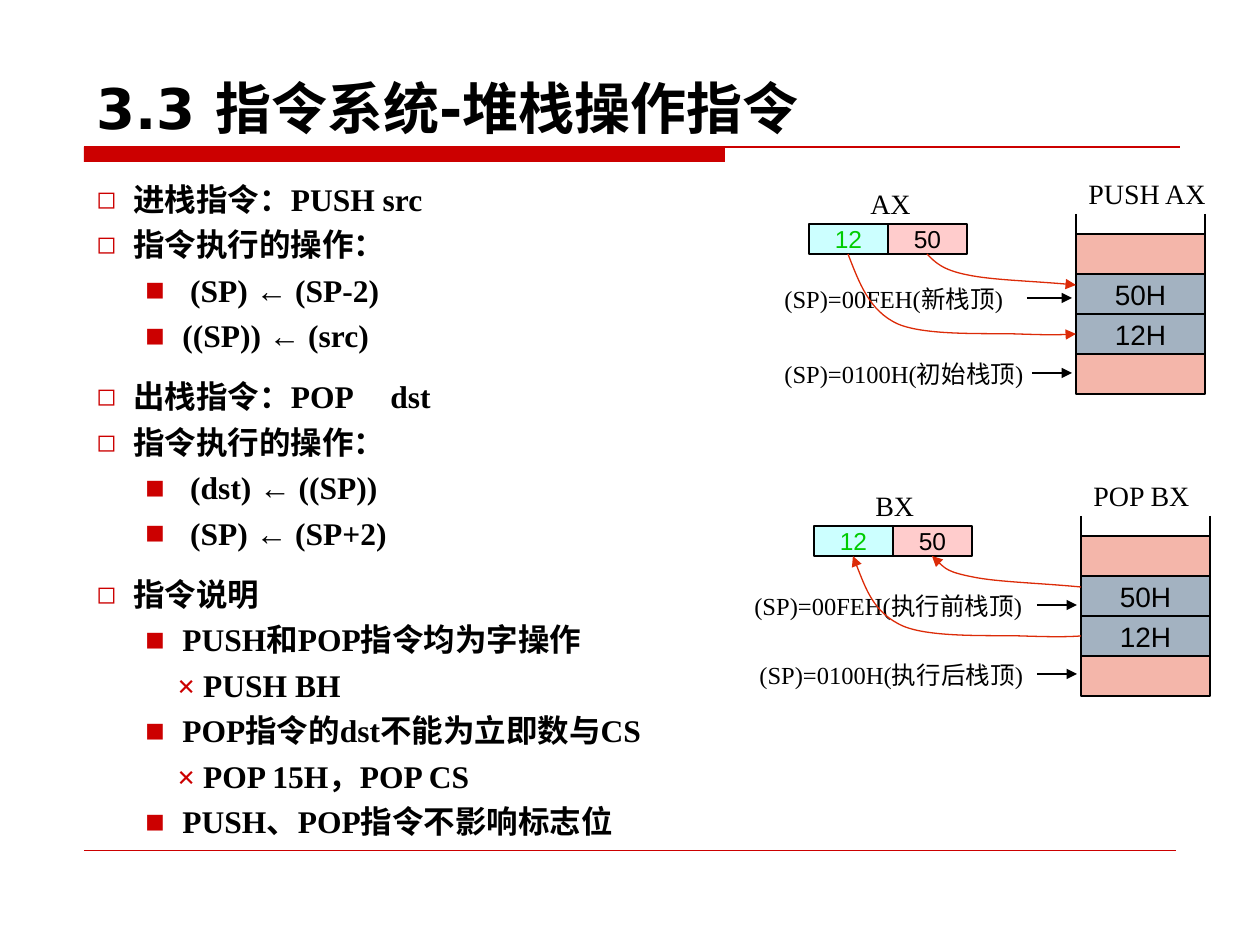
from dataclasses import dataclass

from lxml.etree import SubElement
from pptx import Presentation
from pptx.dml.color import RGBColor
from pptx.enum.shapes import MSO_CONNECTOR, MSO_SHAPE
from pptx.enum.text import MSO_ANCHOR, PP_ALIGN
from pptx.oxml.ns import qn
from pptx.util import Emu, Pt


@dataclass(frozen=True)
class Theme:
    """Colours, fonts and type sizes of the slide."""
    red: str = "CC0000"
    curve: str = "DC2B08"
    ink: str = "000000"
    green: str = "00CC00"
    salmon: str = "F4B6AA"
    slate: str = "A3B2C1"
    cyan: str = "CCFFFF"
    pink: str = "FFCCCC"
    serif: str = "Times New Roman"
    sans: str = "Arial"
    heading: str = "DejaVu Sans"
    title_size: int = 32
    body_size: int = 18
    label_size: int = 16
    note_size: int = 14


THEME = Theme()
BODY = [
    ("topic", "进栈指令：PUSH src"),
    ("topic", "指令执行的操作："),
    ("point", " (SP) ← (SP-2)"),
    ("point", "((SP)) ← (src)"),
    ("topic", "出栈指令：POP\tdst"),
    ("topic", "指令执行的操作："),
    ("point", " (dst) ← ((SP))"),
    ("point", " (SP) ← (SP+2)"),
    ("topic", "指令说明"),
    ("point", "PUSH和POP指令均为字操作"),
    ("wrong", "PUSH BH"),
    ("point", "POP指令的dst不能为立即数与CS"),
    ("wrong", "POP 15H，POP CS"),
    ("point", "PUSH、POP指令不影响标志位"),
]
INDENTS = {"topic": (37, -37, "◻", 78), "point": (86, -37, "■", 65),
           "wrong": (81, 0, None, None)}
SECTION_STARTS = (4, 8)
CURVES = [
    [(190, 84), (198, 92), (205, 100), (231, 105), (255, 110), (297, 111), (339, 115)],
    [(111, 84), (122, 112), (132, 141), (161, 154), (189, 166), (251, 163),
     (280, 164), (310, 165), (325, 165), (339, 164)],
]


def px(length):
    """Turn px into EMU."""
    return Emu(round(length * 914400 / 126))


def color(value):
    """Turn a hex string into a colour."""
    return RGBColor.from_string(value)


def style_font(font, size, name, ink=THEME.ink, bold=False):
    """Set the size, face, colour and weight of a font."""
    font.size, font.name, font.bold = Pt(size), name, bold
    font.color.rgb = color(ink)


def style_line(shape, ink, width=0.75, arrow=None):
    """Colour an outline and give it an optional arrowhead."""
    shape.line.color.rgb = color(ink)
    shape.line.width = Pt(width)
    if arrow:
        outline = shape.element.spPr.find(qn("a:ln"))
        SubElement(outline, qn(f"a:{arrow}"), type="triangle")


def add_line(page, start, end, ink=THEME.ink, width=0.75, arrow=None):
    """Draw a straight line between two points."""
    line = page.shapes.add_connector(
        MSO_CONNECTOR.STRAIGHT, *map(px, (*start, *end)))
    style_line(line, ink, width, arrow)
    SubElement(line.element.spPr, qn("a:effectLst"))


def add_curve(page, points, arrow):
    """Draw a chain of cubic curves through the given control points."""
    start, *rest = [(px(x), px(y)) for x, y in points]
    builder = page.shapes.build_freeform(*start)
    builder.add_line_segments(rest, close=False)
    curve = builder.convert_to_shape()
    curve.shadow.inherit = False
    curve.fill.background()
    style_line(curve, THEME.curve, arrow=arrow)
    path = next(curve.element.iter(qn("a:path")))
    segments = path.findall(qn("a:lnTo"))
    for first in range(0, len(segments), 3):
        cubic = SubElement(path, qn("a:cubicBezTo"))
        for segment in segments[first:first + 3]:
            cubic.append(segment[0])
            path.remove(segment)


def add_cell(page, box, fill, text="", size=THEME.label_size, ink=THEME.ink):
    """Draw a filled cell with optional centred text."""
    cell = page.shapes.add_shape(MSO_SHAPE.RECTANGLE, *map(px, box))
    cell.shadow.inherit = False
    cell.fill.solid()
    cell.fill.fore_color.rgb = color(fill)
    style_line(cell, THEME.ink)
    if text:
        frame = cell.text_frame
        frame.word_wrap = False
        frame.vertical_anchor = MSO_ANCHOR.MIDDLE
        para = frame.paragraphs[0]
        para.text, para.alignment = text, PP_ALIGN.CENTER
        style_font(para.font, size, THEME.sans, ink)


def add_label(page, box, text, size):
    """Place one unwrapped line of serif text."""
    frame = page.shapes.add_textbox(*map(px, box)).text_frame
    frame.word_wrap = False
    para = frame.paragraphs[0]
    para.text = text
    style_font(para.font, size, THEME.serif)


def add_title(page, box, text):
    """Place the slide title with its red rule below."""
    left, top, width, height = box
    bottom = top + height
    frame = page.shapes.add_textbox(*map(px, box)).text_frame
    frame.word_wrap = True
    frame.vertical_anchor = MSO_ANCHOR.BOTTOM
    para = frame.paragraphs[0]
    para.text = text
    style_font(para.font, THEME.title_size, THEME.heading, bold=True)
    bar = page.shapes.add_shape(
        MSO_SHAPE.RECTANGLE, *map(px, (left, bottom, 641, 15)))
    bar.shadow.inherit = False
    bar.fill.solid()
    bar.fill.fore_color.rgb = color(THEME.red)
    bar.line.fill.background()
    add_line(page, (left, bottom), (left + width, bottom), THEME.red)


def add_bullet(para, kind, text):
    """Set the indent, bullet and tab stop of a body paragraph."""
    margin, indent, mark, percent = INDENTS[kind]
    properties = para._p.get_or_add_pPr()
    properties.set("marL", str(px(margin)))
    properties.set("indent", str(px(indent)))
    if mark:
        SubElement(SubElement(properties, qn("a:buClr")), qn("a:srgbClr"), val=THEME.red)
        SubElement(properties, qn("a:buSzPct"), val=str(percent * 1000))
        SubElement(properties, qn("a:buFont"), typeface=THEME.heading)
        SubElement(properties, qn("a:buChar"), char=mark)
    else:
        SubElement(properties, qn("a:buNone"))
    if "\t" in text:
        stops = SubElement(properties, qn("a:tabLst"))
        SubElement(stops, qn("a:tab"), pos=str(px(294)), algn="l")


def add_body(page, box):
    """Write the bulleted explanation and the line that closes it."""
    left, top, width, height = box
    frame = page.shapes.add_textbox(*map(px, box)).text_frame
    frame.word_wrap = True
    for index, (kind, text) in enumerate(BODY):
        para = frame.add_paragraph() if index else frame.paragraphs[0]
        if kind == "wrong":
            cross = para.add_run()
            cross.text = "× "
            cross.font.color.rgb = color(THEME.red)
        para.add_run().text = text
        add_bullet(para, kind, text)
        para.line_spacing = 1.1
        if index:
            para.space_before = Pt(11.2 if index in SECTION_STARTS else 2.2)
        style_font(para.font, THEME.body_size, THEME.serif, bold=True)
    add_line(page, (left, top + 680), (left + 1092, top + 680), THEME.red, 0.25)


def add_stack_diagram(page, origin, command, register, notes, curve_arrow):
    """Draw a register, a memory stack and the transfers between them."""
    left, top = origin
    stack, width, pitch = left + 339, 129, 40
    for side in (stack, stack + width):
        add_line(page, (side, top + 44), (side, top + 64 + 4 * pitch))
    cells = [(THEME.salmon, ""), (THEME.slate, "50H"),
             (THEME.slate, "12H"), (THEME.salmon, "")]
    for row, (fill, text) in enumerate(cells):
        add_cell(page, (stack, top + 64 + row * pitch, width, pitch), fill, text)
    halves = [(THEME.cyan, "12", THEME.green), (THEME.pink, "50", THEME.ink)]
    for column, (fill, text, ink) in enumerate(halves):
        add_cell(page, (left + 72 + column * 79, top + 54, 79, 30),
                 fill, text, THEME.note_size, ink)
    add_label(page, (stack, top, 160, 47), command, THEME.label_size)
    add_label(page, (left + 121, top + 10, 90, 47), register, THEME.label_size)
    for text, x, y, tip_start in notes:
        add_label(page, (left + x, top + y, 330, 43), text, THEME.note_size)
        add_line(page, (left + tip_start, top + y + 20),
                 (stack - 4, top + y + 20), arrow="tailEnd")
    for points in CURVES:
        add_curve(page, [(left + x, top + y) for x, y in points], curve_arrow)


def main():
    """Build the slide and save it."""
    deck = Presentation()
    deck.slide_width, deck.slide_height = px(1260), px(945)
    page = deck.slides.add_slide(deck.slide_layouts[6])
    add_title(page, (84, 63, 1096, 84), "3.3 指令系统-堆栈操作指令")
    add_body(page, (84, 170, 1126, 678))
    add_stack_diagram(page, (737, 170), "PUSH AX", "AX", [
        ("(SP)=00FEH(新栈顶)", 35, 108, 290),
        ("(SP)=0100H(初始栈顶)", 35, 183, 295)], "tailEnd")
    add_stack_diagram(page, (742, 472), "POP BX", "BX", [
        ("(SP)=00FEH(执行前栈顶)", 0, 113, 295),
        ("(SP)=0100H(执行后栈顶)", 5, 182, 295)], "headEnd")
    deck.save("out.pptx")


if __name__ == "__main__":
    main()
